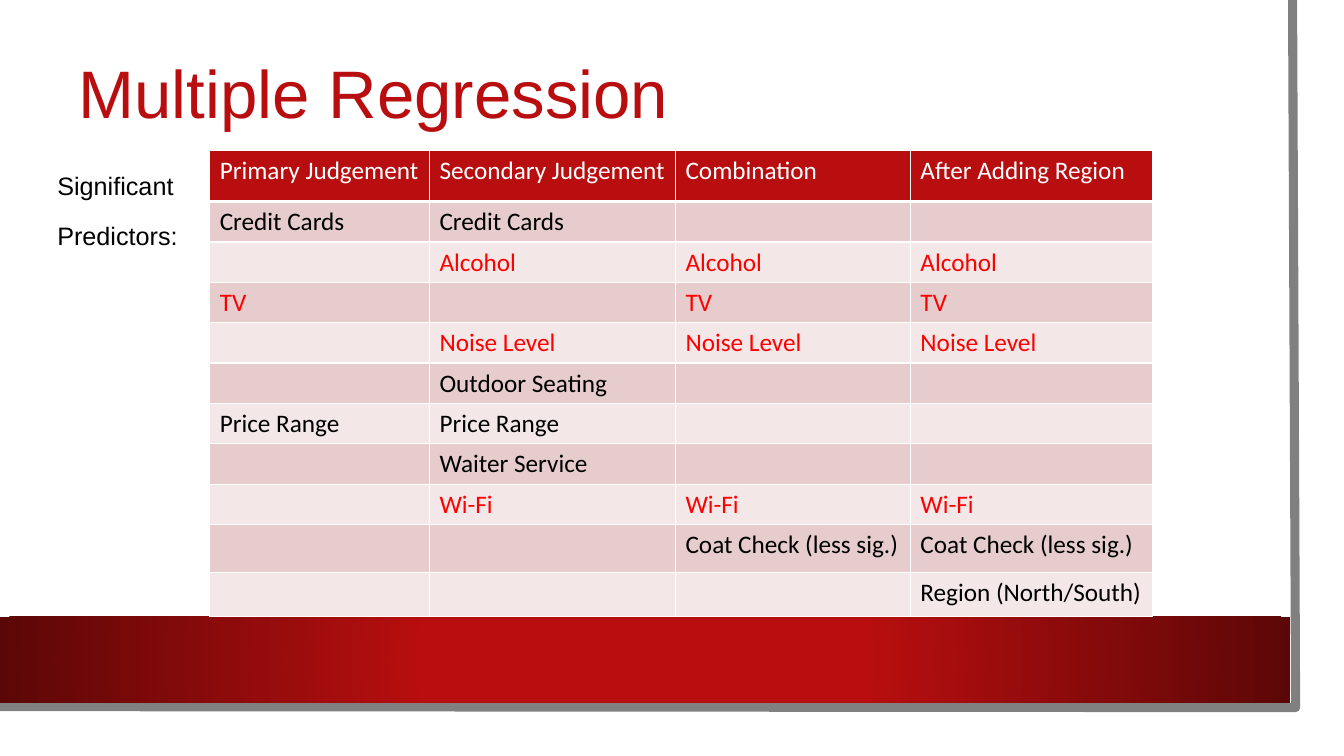
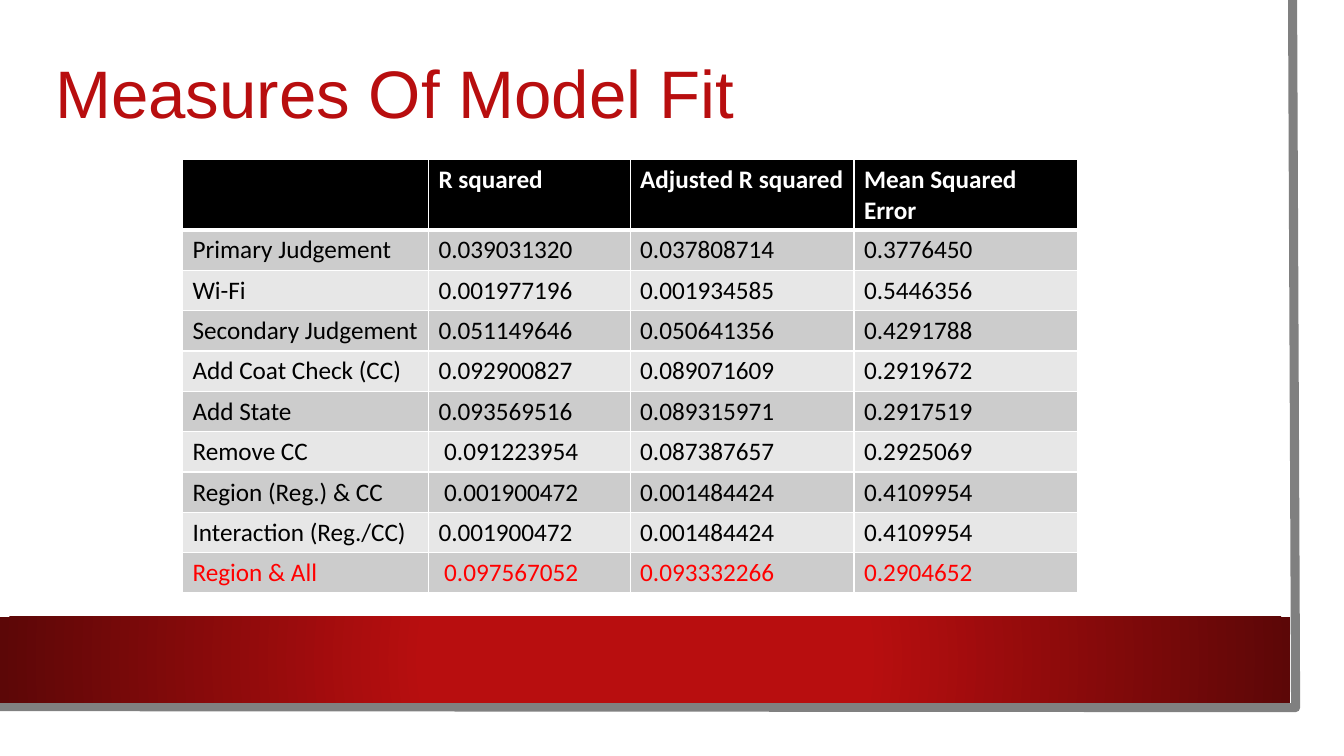
from lxml import etree
from pptx import Presentation
from pptx import util as u
from pptx.dml.color import RGBColor
from pptx.enum import shapes, text
from pptx.oxml import parse_xml
from pptx.oxml.ns import nsdecls, qn

COLORS = {
    "white": "FFFFFF", "black": "000000", "brand": "B80E0F",
    "brand_dark": "5C0707", "edge": "808080", "highlight": "FF0000",
    "rose": "E6CCCC", "rose_light": "F3E7E7",
    "grey": "CCCCCC", "grey_light": "E7E7E7",
}
HEADING_FONT, TABLE_FONT = "Arial", "Calibri"
ROW_HEIGHT = 0.4

PREDICTOR_HEADS = ["Primary Judgement", "Secondary Judgement",
                   "Combination", "After Adding Region"]
PREDICTORS = [
    ["Credit Cards", "Credit Cards", "", ""],
    ["", "Alcohol", "Alcohol", "Alcohol"],
    ["TV", "", "TV", "TV"],
    ["", "Noise Level", "Noise Level", "Noise Level"],
    ["", "Outdoor Seating", "", ""],
    ["Price Range", "Price Range", "", ""],
    ["", "Waiter Service", "", ""],
    ["", "Wi-Fi", "Wi-Fi", "Wi-Fi"],
    ["", "", "Coat Check (less sig.)", "Coat Check (less sig.)"],
    ["", "", "", "Region (North/South)"],
]
FIT_HEADS = ["", "R squared", "Adjusted R squared", "Mean Squared Error"]
FIT_MEASURES = [
    ["Primary Judgement", "0.039031320", "0.037808714", "0.3776450"],
    ["Wi-Fi", "0.001977196", "0.001934585", "0.5446356"],
    ["Secondary Judgement", "0.051149646", "0.050641356", "0.4291788"],
    ["Add Coat Check (CC)", "0.092900827", "0.089071609", "0.2919672"],
    ["Add State", "0.093569516", "0.089315971", "0.2917519"],
    ["Remove CC", " 0.091223954", "0.087387657", "0.2925069"],
    ["Region (Reg.) & CC", " 0.001900472", "0.001484424", "0.4109954"],
    ["Interaction (Reg./CC)", "0.001900472", "0.001484424", "0.4109954"],
    ["Region & All", " 0.097567052", "0.093332266", "0.2904652"],
]


def rgb(name):
    return RGBColor.from_string(COLORS[name])


def inches(*lengths):
    return [u.Inches(length) for length in lengths]


def add_run(paragraph, words, font, size, color, bold=False):
    run = paragraph.add_run()
    run.text = words
    run.font.name, run.font.size, run.font.bold = font, u.Pt(size), bold
    run.font.color.rgb = rgb(color)


def add_text(slide, box, lines, size, color, line_spacing, before=0):
    frame = slide.shapes.add_textbox(*inches(*box)).text_frame
    frame.word_wrap = True
    frame.vertical_anchor = text.MSO_ANCHOR.MIDDLE
    for i, line in enumerate(lines):
        paragraph = frame.add_paragraph() if i else frame.paragraphs[0]
        paragraph.line_spacing = line_spacing
        paragraph.space_before = u.Pt(before)
        add_run(paragraph, line, HEADING_FONT, size, color)


def add_block(slide, box):
    block = slide.shapes.add_shape(shapes.MSO_SHAPE.RECTANGLE, *inches(*box))
    block.shadow.inherit = False
    block.line.fill.background()
    return block


def radial_fill(shape, inner, outer):
    gradient = parse_xml(
        f'<a:gradFill {nsdecls("a")} rotWithShape="1"><a:gsLst>'
        f'<a:gs pos="34000"><a:srgbClr val="{COLORS[inner]}"/></a:gs>'
        f'<a:gs pos="100000"><a:srgbClr val="{COLORS[outer]}"/></a:gs>'
        '</a:gsLst><a:path path="circle">'
        '<a:fillToRect l="50000" t="50000" r="50000" b="50000"/>'
        '</a:path></a:gradFill>')
    shape._element.spPr.find(qn("a:prstGeom")).addnext(gradient)


def add_page(prs, title, title_left):
    """Shared page: white panel, grey edge, red band and title."""
    slide = prs.slides.add_slide(prs.slide_layouts[6])

    panel = add_block(slide, (0, 0, 13.1, 7.27))
    panel.fill.solid()
    panel.fill.fore_color.rgb = rgb("white")

    # Grey edge along the right and the bottom
    start, *rest = [inches(*point) for point in
                    [(12.82, 0), (12.85, 7.02), (-0.03, 7.01)]]
    outline = slide.shapes.build_freeform(*start)
    outline.add_line_segments(rest, close=False)
    edge = outline.convert_to_shape()
    edge.shadow.inherit = False
    edge.fill.background()
    edge.line.color.rgb = rgb("edge")
    edge.line.width = u.Pt(6.5)

    band = add_block(slide, (0, 6.12, 12.8, 0.85))
    radial_fill(band, "brand", "brand_dark")

    add_text(slide, (title_left, 0.33, 11.37, 1.26), [title], 48, "brand", 0.9)
    return slide


def set_borders(cell, bottom):
    properties = cell._tc.get_or_add_tcPr()
    for i, (side, width) in enumerate(
            [("lnL", 1), ("lnR", 1), ("lnT", 1), ("lnB", bottom)]):
        line = etree.Element(qn(f"a:{side}"), w=str(u.Pt(width)))
        fill = etree.SubElement(line, qn("a:solidFill"))
        etree.SubElement(fill, qn("a:srgbClr"), val=COLORS["white"])
        properties.insert(i, line)


def add_banded_table(slide, left, top, widths, heights, heads, body,
                     head_fill, bands, highlights, bold_heads=False):
    rows = [heads] + body
    table = slide.shapes.add_table(
        len(rows), len(widths),
        *inches(left, top, sum(widths), sum(heights))).table
    for column, width in zip(table.columns, widths):
        column.width = u.Inches(width)
    for r, (words_in_row, height) in enumerate(zip(rows, heights)):
        table.rows[r].height = u.Inches(height)
        is_head = r == 0
        for c, words in enumerate(words_in_row):
            cell = table.cell(r, c)
            cell.fill.solid()
            cell.fill.fore_color.rgb = rgb(
                head_fill if is_head else bands[(r - 1) % 2])
            set_borders(cell, bottom=3 if is_head or (r == 0) else 1)
            if words:
                marked = highlights & {words, words_in_row[0]}
                color = ("white" if is_head
                         else "highlight" if marked else "black")
                add_run(cell.text_frame.paragraphs[0], words, TABLE_FONT, 18,
                        color, is_head and bold_heads)


def add_regression_slide(prs):
    slide = add_page(prs, "Multiple Regression", 0.68)
    add_text(slide, (0.47, 1.49, 11.27, 1.14), ["Significant", "Predictors:"],
             18, "black", 1.2, before=10)
    add_banded_table(
        slide, 2.08, 1.49, [2.18, 2.44, 2.33, 2.4],
        [0.51] + [ROW_HEIGHT] * 8 + [0.48, 0.43],
        PREDICTOR_HEADS, PREDICTORS, "brand", ("rose", "rose_light"),
        {"Alcohol", "TV", "Noise Level", "Wi-Fi"})


def add_fit_slide(prs):
    slide = add_page(prs, "Measures Of Model Fit", 0.45)
    add_banded_table(
        slide, 1.81, 1.58, [2.44, 2, 2.22, 2.22],
        [0.7] + [ROW_HEIGHT] * len(FIT_MEASURES),
        FIT_HEADS, FIT_MEASURES, "black", ("grey", "grey_light"),
        {"Region & All"}, bold_heads=True)


def main():
    prs = Presentation()
    prs.slide_width, prs.slide_height = inches(13.33, 7.5)
    add_regression_slide(prs)
    add_fit_slide(prs)
    prs.save("out.pptx")


if __name__ == "__main__":
    main()
